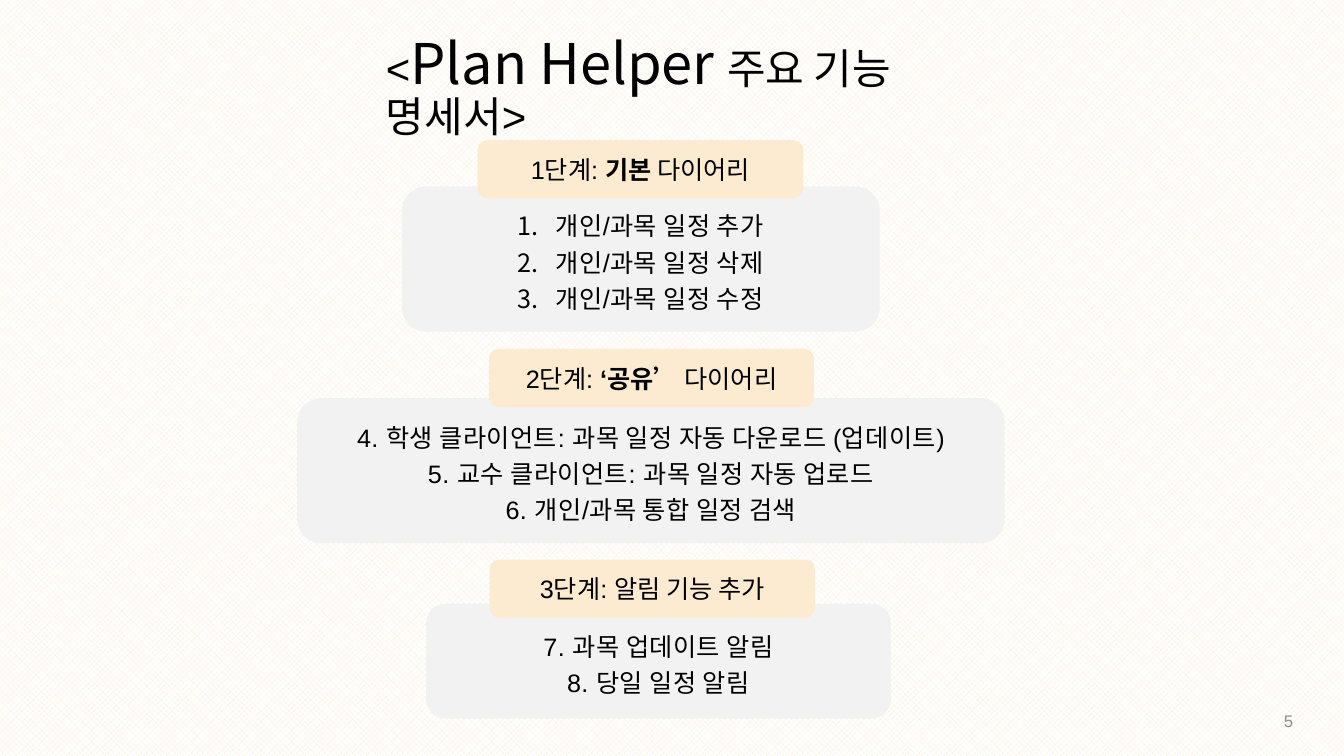
from dataclasses import dataclass

from lxml.etree import SubElement
from pptx import Presentation
from pptx.dml.color import RGBColor as Rgb
from pptx.enum.dml import MSO_PATTERN as Pattern
from pptx.enum.shapes import MSO_SHAPE as Shape
from pptx.enum.text import MSO_ANCHOR as Anchor, MSO_AUTO_SIZE as Fit, PP_ALIGN as Align
from pptx.oxml.ns import qn
from pptx.util import Cm, Pt

HEX = {"cream": "FCEBD1", "white": "FFFFFF", "gray": "F2F2F2",
       "black": "000000", "page": "8C8C8C"}
LATIN, KOREAN = "Arial", "Noto Sans CJK KR"
HEAD_W, HEAD_H = 8.2, 1.47


@dataclass
class Part:
    text: str
    bold: bool = False
    size: float = 18
    font: str = LATIN


@dataclass
class Stage:
    head: list[Part]
    head_at: tuple[float, float]
    items: list[str]
    box: tuple[float, float, float, float]
    auto: bool = False


STAGES = [
    Stage([Part("1단계: "), Part("기본", True), Part(" 다이어리")], (12.04, 3.53),
          ["개인/과목 일정 추가", "개인/과목 일정 삭제", "개인/과목 일정 수정"],
          (10.13, 4.7, 12.04, 3.66), auto=True),
    Stage([Part("2단계: "), Part("‘공유’ ", True), Part("다이어리")], (12.32, 8.79),
          ["4. 학생 클라이언트: 과목 일정 자동 다운로드 (업데이트)",
           "5. 교수 클라이언트: 과목 일정 자동 업로드",
           "6. 개인/과목 통합 일정 검색"],
          (7.49, 10.03, 17.83, 3.66)),
    Stage([Part("3단계: 알림 기능 추가")], (12.34, 14.1),
          ["7. 과목 업데이트 알림", "8. 당일 일정 알림"],
          (10.74, 15.21, 11.71, 2.9)),
]


def color(name: str) -> Rgb:
    return Rgb.from_string(HEX[name])


def number(para) -> None:
    """Give the paragraph an automatic number with a hanging indent."""
    props = para._p.get_or_add_pPr()
    props.set("marL", str(Cm(0.95)))
    props.set("indent", str(-Cm(0.95)))
    SubElement(props, qn("a:buFont")).set("typeface", KOREAN)
    SubElement(props, qn("a:buAutoNum")).set("type", "arabicPeriod")


def write(shape, lines: list[list[Part]], *, align=Align.CENTER, tone: str = "black",
          lead: float = 1.0, track: int = 0, auto: bool = False) -> None:
    """Fill the shape with one paragraph per line; track is in 1/100 pt."""
    frame = shape.text_frame
    frame.word_wrap = True
    frame.auto_size = Fit.NONE
    frame.vertical_anchor = Anchor.MIDDLE
    for i, line in enumerate(lines):
        para = frame.add_paragraph() if i else frame.paragraphs[0]
        para.alignment = align
        para.line_spacing = lead
        if auto:
            number(para)
        for part in line:
            run = para.add_run()
            run.text = part.text
            font = run.font
            font.size, font.bold, font.name = Pt(part.size), part.bold, part.font
            font.color.rgb = color(tone)
            props = run._r.get_or_add_rPr()
            SubElement(props, qn("a:ea")).set("typeface", KOREAN)
            if track:
                props.set("spc", str(track))


def panel(slide, box: tuple[float, float, float, float], fill: str):
    shape = slide.shapes.add_shape(Shape.ROUNDED_RECTANGLE, *map(Cm, box))
    shape.shadow.inherit = False
    shape.fill.solid()
    shape.fill.fore_color.rgb = color(fill)
    shape.line.fill.background()
    return shape


def main() -> None:
    deck = Presentation()
    deck.slide_width, deck.slide_height = Cm(33.87), Cm(19.05)
    slide = deck.slides.add_slide(deck.slide_layouts[5])

    back = slide.background.fill
    back.patterned()
    back.pattern = Pattern.OUTLINED_DIAMOND
    back.fore_color.rgb = color("cream")
    back.back_color.rgb = color("white")

    title = slide.shapes.title
    title.left, title.top, title.width, title.height = map(Cm, (9.47, 1.24, 15.9, 2.01))
    write(title, [[Part("<", size=30), Part("Plan Helper ", size=40, font=KOREAN),
                   Part("주요 기능 명세서>", size=30)]], align=Align.LEFT, lead=0.9)

    for stage in STAGES:
        write(panel(slide, stage.box, "gray"), [[Part(item)] for item in stage.items],
              lead=1.2, track=30, auto=stage.auto)
        write(panel(slide, (*stage.head_at, HEAD_W, HEAD_H), "cream"), [stage.head])

    page = slide.shapes.add_textbox(*map(Cm, (25.22, 17.65, 7.62, 1.02)))
    write(page, [[Part("5", size=12)]], align=Align.RIGHT, tone="page")
    deck.save("out.pptx")


if __name__ == "__main__":
    main()
